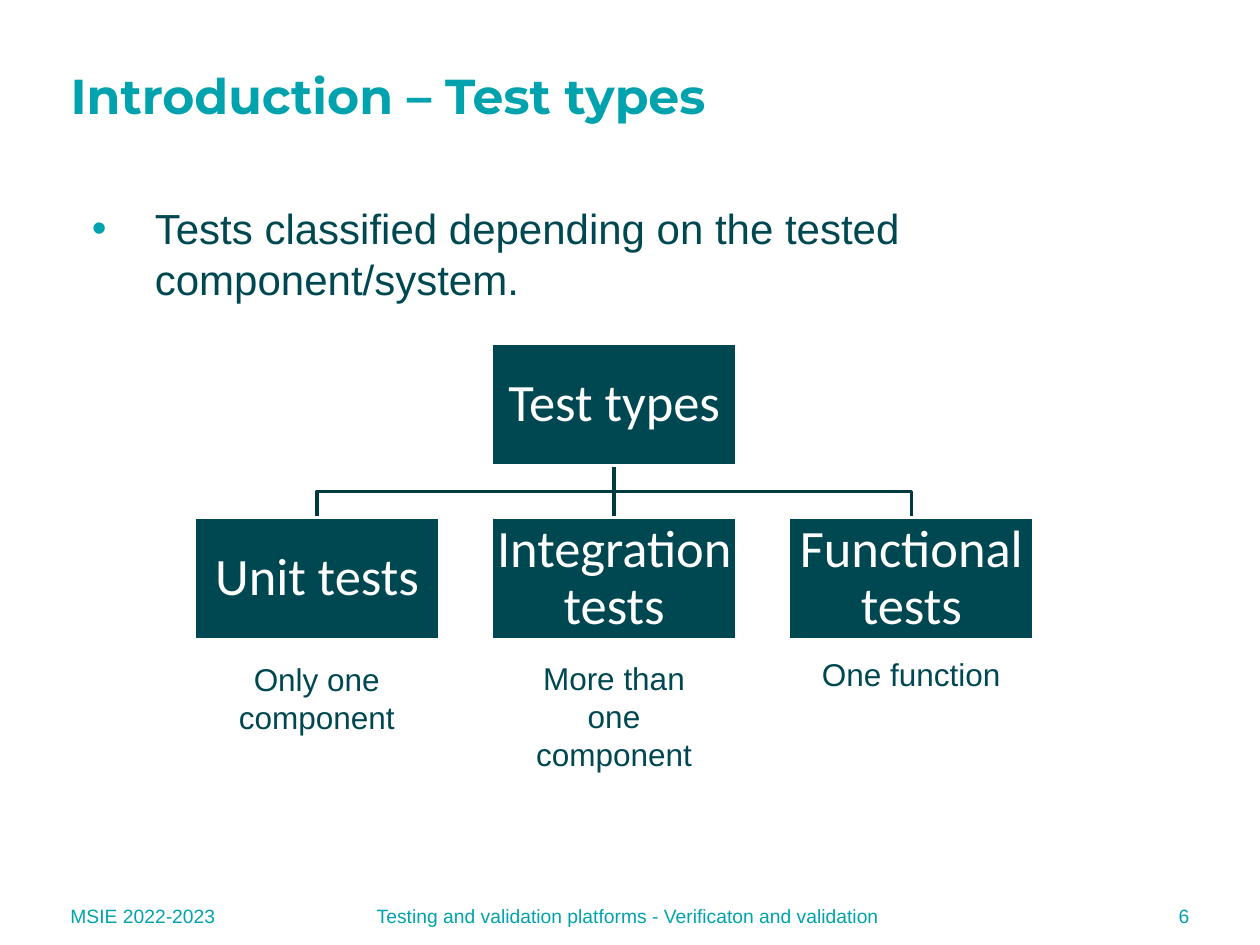
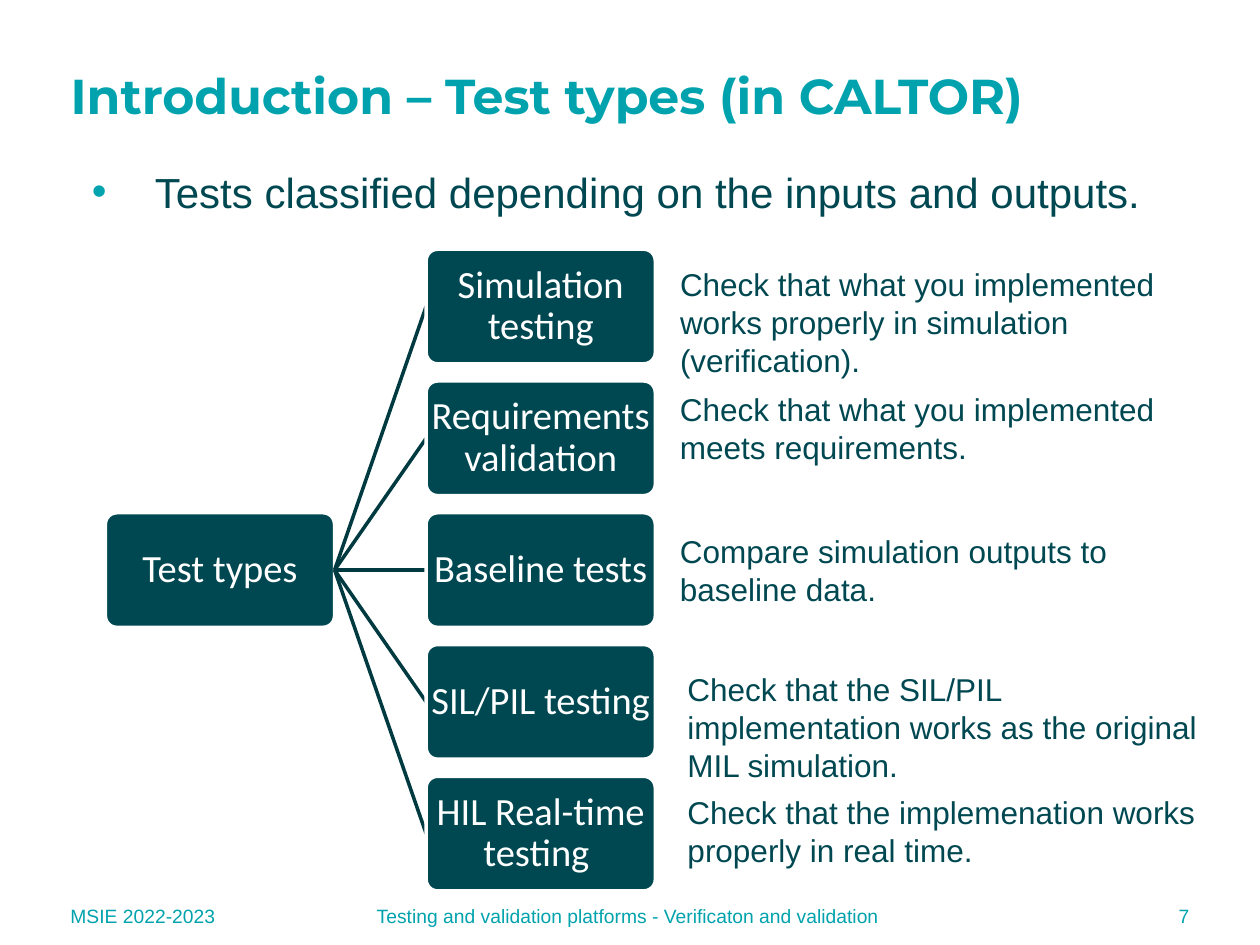
from dataclasses import dataclass

from lxml import etree
from pptx import Presentation
from pptx.dml.color import RGBColor
from pptx.enum.shapes import MSO_CONNECTOR, MSO_SHAPE
from pptx.enum.text import MSO_ANCHOR, MSO_AUTO_SIZE, PP_ALIGN
from pptx.oxml.ns import qn
from pptx.util import Pt

RECT = MSO_SHAPE.RECTANGLE
ROUND = MSO_SHAPE.ROUNDED_RECTANGLE
LINE = MSO_CONNECTOR.STRAIGHT
LEFT, MID, RIGHT = PP_ALIGN.LEFT, PP_ALIGN.CENTER, PP_ALIGN.RIGHT
TOP, CENTER = MSO_ANCHOR.TOP, MSO_ANCHOR.MIDDLE
FIXED = MSO_AUTO_SIZE.NONE
TITLE_ONLY = 5


@dataclass(frozen=True)
class Theme:
    teal: str = "00A3AD"
    dot: str = "00A3AE"
    dark: str = "004851"
    wire: str = "003A41"
    white: str = "FFFFFF"
    head: str = "Montserrat"
    body: str = "Arial"
    node: str = "Calibri"
    title: int = 28
    lead: int = 24
    note: int = 18
    foot: int = 11
    tree: int = 30
    fan: int = 22
    stroke: int = 2


def color(code):
    return RGBColor.from_string(code)


def write(frame, text, *, size, ink, font, bold=False, align=LEFT,
          anchor=TOP, inset=None, space=None, before=None):
    frame.word_wrap = True
    frame.auto_size = FIXED
    frame.vertical_anchor = anchor
    if inset is not None:
        frame.margin_left = frame.margin_right = Pt(inset)
        frame.margin_top = frame.margin_bottom = Pt(inset)
    para = frame.paragraphs[0]
    para.alignment = align
    if space:
        para.line_spacing = space
    if before:
        para.space_before = Pt(before)
    run = para.add_run()
    run.text = text
    run.font.size = Pt(size)
    run.font.name = font
    run.font.bold = bold
    run.font.color.rgb = color(ink)
    return para


class Deck:
    def __init__(self, theme):
        self.theme = theme
        self.file = Presentation()
        self.file.slide_width, self.file.slide_height = Pt(720), Pt(540)
        self.slide = None

    def page(self, title, number):
        t = self.theme
        self.slide = self.file.slides.add_slide(
            self.file.slide_layouts[TITLE_ONLY])
        head = self.slide.shapes.title
        head.left, head.top = Pt(33.2), Pt(37.4)
        head.width, head.height = Pt(603.4), Pt(33.8)
        write(head.text_frame, title, size=t.title, ink=t.teal,
              font=t.head, bold=True, anchor=CENTER)
        feet = (
            (33.2, 102, "MSIE 2022-2023", LEFT),
            (170.9, 376, "Testing and validation platforms"
             " - Verificaton and validation", MID),
            (598.8, 88, str(number), RIGHT),
        )
        for left, width, text, align in feet:
            self.text(text, left, 509, width, 29, size=t.foot, ink=t.teal,
                      align=align, anchor=CENTER)

    def text(self, text, left, top, width, height, **style):
        t = self.theme
        box = self.slide.shapes.add_textbox(
            Pt(left), Pt(top), Pt(width), Pt(height))
        look = {"size": t.note, "ink": t.dark, "font": t.body} | style
        return write(box.text_frame, text, **look)

    def lead(self, text, top, width):
        t = self.theme
        para = self.text(text, 45.4, top, width, 378.7, size=t.lead,
                         before=4.8)
        props = para._p.get_or_add_pPr()
        props.set("marL", str(Pt(36)))
        props.set("indent", str(Pt(-36)))
        tint = etree.SubElement(props, qn("a:buClr"))
        etree.SubElement(tint, qn("a:srgbClr"), val=t.dot)
        etree.SubElement(props, qn("a:buFont"), typeface=t.body)
        etree.SubElement(props, qn("a:buChar"), char="•")

    def box(self, text, left, top, width, height, size, kind=RECT):
        t = self.theme
        node = self.slide.shapes.add_shape(
            kind, Pt(left), Pt(top), Pt(width), Pt(height))
        if kind == ROUND:
            node.adjustments[0] = 0.1
        node.shadow.inherit = False
        node.fill.solid()
        node.fill.fore_color.rgb = color(t.dark)
        self.stroke(node, t.white)
        write(node.text_frame, text, size=size, ink=t.white, font=t.node,
              align=MID, anchor=CENTER, inset=0.5, space=0.9)
        return node

    def stroke(self, item, ink):
        item.line.color.rgb = color(ink)
        item.line.width = Pt(self.theme.stroke)

    def link(self):
        wire = self.slide.shapes.add_connector(LINE, 0, 0, 0, 0)
        self.stroke(wire, self.theme.wire)
        etree.SubElement(wire._element.spPr, qn("a:effectLst"))
        return wire

    def bend(self, start, *points):
        pen = self.slide.shapes.build_freeform(
            Pt(start[0]), Pt(start[1]))
        pen.add_line_segments(
            [(Pt(x), Pt(y)) for x, y in points], close=False)
        wire = pen.convert_to_shape()
        wire.fill.background()
        self.stroke(wire, self.theme.wire)
        wire.shadow.inherit = False


def levels(deck):
    deck.page("Introduction – Test types", 6)
    wide, high, step = 140.4, 70, 169.8
    left, top, low = 111, 196, 295.7
    size = deck.theme.tree
    root = left + step
    axis = root + wide / 2
    edge = top + high
    turn = (edge + low) / 2
    for side in (-step, step):
        deck.bend((axis, edge), (axis, turn), (axis + side, turn),
                  (axis + side, low))
    stem = deck.link()
    parent = deck.box("Test types", root, top, wide, high, size)
    kinds = (
        ("Unit tests", "Only one component", 373.7),
        ("Integration tests", "More than one component", 373),
        ("Functional tests", "One function", 370.8),
    )
    nodes = [deck.box(name, left + i * step, low, wide, high, size)
             for i, (name, _, _) in enumerate(kinds)]
    stem.begin_connect(parent, 2)
    stem.end_connect(nodes[1], 0)
    deck.lead("Tests classified depending on the tested component/system.",
              112.4, 663.8)
    for i, (_, note, y) in enumerate(kinds):
        deck.text(note, 120.2 + i * step, y, 121.7, 51, align=MID)


def methods(deck):
    deck.page("Introduction – Test types (in CALTOR)", 7)
    wide, high, step = 131, 65.5, 75.3
    left, top = 243.5, 142.4
    size = deck.theme.fan
    kinds = (
        ("Simulation testing", "Check that what you implemented works "
         "properly in simulation (verification).", 381.5, 148, 331),
        ("Requirements validation", "Check that what you implemented "
         "meets requirements.", 381.5, 219.4, 313),
        ("Baseline tests", "Compare simulation outputs to baseline data.",
         381.5, 300.5, 313),
        ("SIL/PIL testing", "Check that the SIL/PIL implementation works "
         "as the original MIL simulation.", 385.8, 379.4, 313),
        ("HIL Real-time testing ", "Check that the implemenation works "
         "properly in real time.", 385.8, 449.5, 313),
    )
    parent = deck.box("Test types", 60.2, top + 2 * step, wide, high,
                      size, ROUND)
    wires = [deck.link() for _ in kinds]
    for i, (wire, kind) in enumerate(zip(wires, kinds)):
        name, note, x, y, span = kind
        node = deck.box(name, left, top + i * step, wide, high, size, ROUND)
        wire.begin_connect(parent, 3)
        wire.end_connect(node, 1)
        deck.text(note, x, y, span, 51)
    deck.lead("Tests classified depending on the inputs and outputs.",
              91.4, 653.8)


def main():
    deck = Deck(Theme())
    levels(deck)
    methods(deck)
    deck.file.save("out.pptx")


if __name__ == "__main__":
    main()
